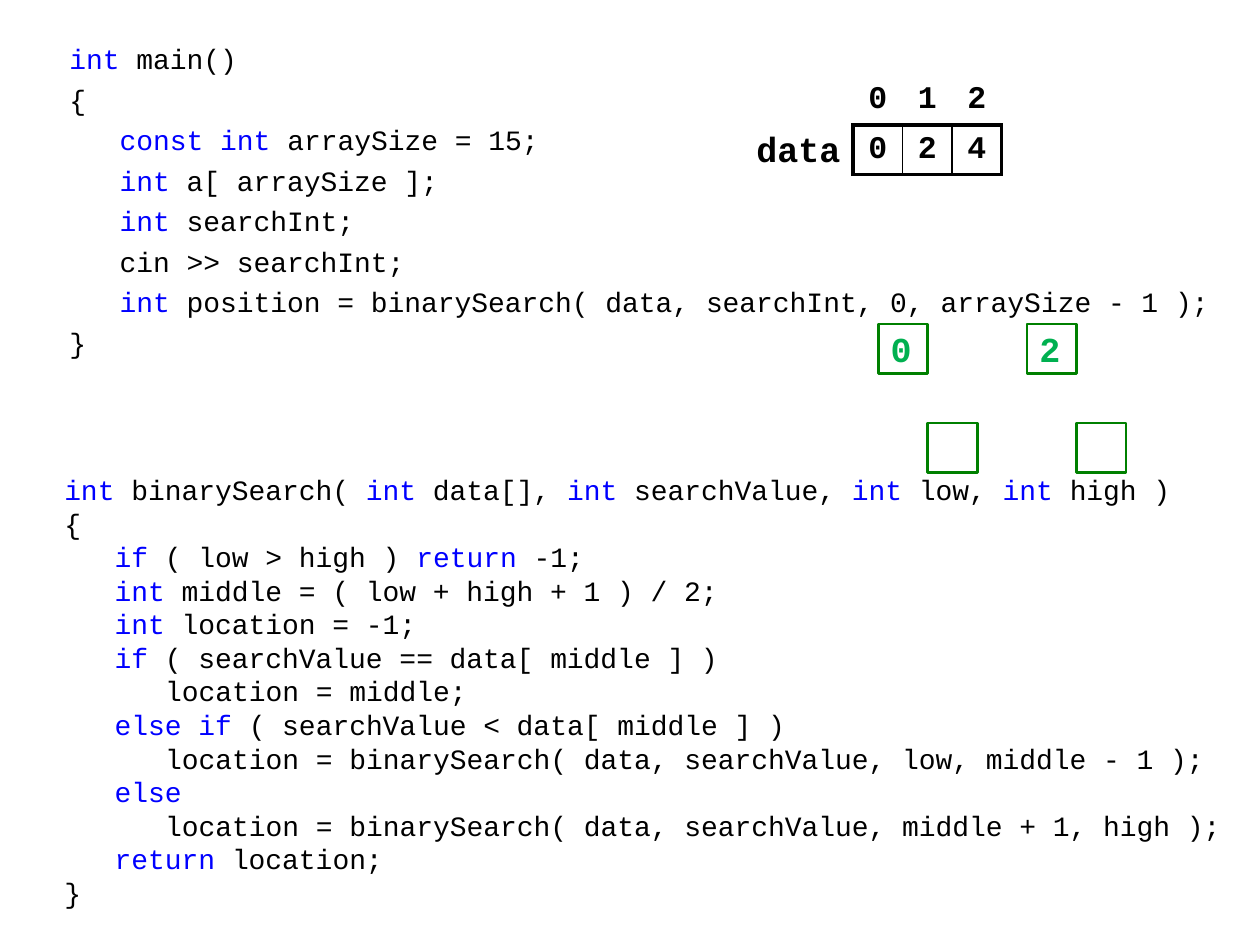
from itertools import groupby
from lxml.etree import SubElement
from pptx import Presentation
from pptx.dml.color import RGBColor
from pptx.enum.shapes import MSO_SHAPE
from pptx.enum.text import MSO_ANCHOR, PP_ALIGN
from pptx.oxml.ns import qn
from pptx.util import Inches, Pt


class Theme:
    font = "Courier New"
    ink, key, edge, value = (
        RGBColor.from_string(c) for c in ("000000", "0000FF", "008000", "00B050"))
    code, cell, label = Pt(16), Pt(18), Pt(20)
    thick, thin, frame = Pt(2.25), Pt(1), Pt(1.5)


UNIT = 1.18 / 3  # side of one array cell
STEP = 0.4       # one level of code indent
WORDS = {"int", "const", "if", "else", "return"}

# Each line of code: indent level, text
MAIN = [
    (0, "int main()"),
    (0, "{"),
    (1, "const int arraySize = 15;"),
    (1, "int a[ arraySize ];"),
    (1, "int searchInt;"),
    (1, "cin >> searchInt;"),
    (1, "int position = binarySearch( data, searchInt, 0, arraySize - 1 );"),
    (0, "}"),
]
SEARCH = [
    (0, "int binarySearch( int data[], int searchValue, int low, int high )"),
    (0, "{"),
    (1, "if ( low > high ) return -1;"),
    (1, "int middle = ( low + high + 1 ) / 2;"),
    (1, "int location = -1;"),
    (1, "if ( searchValue == data[ middle ] )"),
    (2, "location = middle;"),
    (1, "else if ( searchValue < data[ middle ] )"),
    (2, "location = binarySearch( data, searchValue, low, middle - 1 );"),
    (1, "else"),
    (2, "location = binarySearch( data, searchValue, middle + 1, high );"),
    (1, "return location;"),
    (0, "}"),
]


def put(item, values):
    for name, value in values.items():
        setattr(item, name, value)


def pad(item, left, top, right, base):
    names = ("margin_left", "margin_top", "margin_right", "margin_bottom")
    put(item, dict(zip(names, map(Inches, (left, top, right, base)))))


def write(para, text, size, color, bold=False):
    run = para.add_run()
    run.text = text
    put(run.font, {"name": Theme.font, "size": size, "bold": bold})
    run.font.color.rgb = color


def code(slide, box, lines, inset, after):
    """Code block with coloured keywords."""
    frame = slide.shapes.add_textbox(*map(Inches, box)).text_frame
    frame.word_wrap = True
    pad(frame, *inset)
    for num, (level, line) in enumerate(lines):
        para = frame.add_paragraph() if num else frame.paragraphs[0]
        para.space_after = Pt(after)
        props = para._p.get_or_add_pPr()
        props.set("marL", str(Inches(level * STEP)))
        props.set("indent", "0")
        parts = [word + " " for word in line.split(" ")]
        parts[-1] = parts[-1].rstrip()
        for key, group in groupby(parts, lambda part: part.strip() in WORDS):
            write(para, "".join(group), Theme.code, Theme.key if key else Theme.ink)


def square(slide, left, top, text=""):
    """Green box for one argument value."""
    box = slide.shapes.add_shape(
        MSO_SHAPE.RECTANGLE, *map(Inches, (left, top, UNIT, UNIT)))
    box.shadow.inherit = False
    box.fill.background()
    box.line.color.rgb = Theme.edge
    box.line.width = Theme.frame
    frame = box.text_frame
    put(frame, {"word_wrap": False, "vertical_anchor": MSO_ANCHOR.MIDDLE})
    pad(frame, 0.1, 0.04, 0.1, 0.04)
    if text:
        frame.paragraphs[0].alignment = PP_ALIGN.LEFT
        write(frame.paragraphs[0], text, Theme.label, Theme.value, True)


def border(cell, sides):
    props = cell._tc.get_or_add_tcPr()
    for spot, (side, width) in enumerate(sides.items()):
        line = props.makeelement(qn("a:ln" + side), {"w": str(width)})
        fill = SubElement(line, qn("a:solidFill" if width else "a:noFill"))
        if width:
            SubElement(fill, qn("a:srgbClr"), val=str(Theme.ink))
        props.insert(spot, line)


def array(slide, left, top, name, values):
    """Array with its name on the left and index numbers above."""
    count = len(values)
    size = (left, top, count * UNIT, 2 * UNIT)
    table = slide.shapes.add_table(2, count, *map(Inches, size)).table
    put(table, {"first_row": False, "horz_banding": False})
    for col in table.columns:
        col.width = Inches(UNIT)
    for row, texts in enumerate((range(count), values)):
        table.rows[row].height = Inches(UNIT)
        for col, text in enumerate(texts):
            cell = table.cell(row, col)
            cell.fill.background()
            pad(cell, 0.08, 0, 0.08, 0)
            para = cell.text_frame.paragraphs[0]
            put(para, {"alignment": PP_ALIGN.CENTER, "line_spacing": 1.2,
                       "space_before": Pt(3.6)})
            write(para, str(text), Theme.cell, Theme.ink, True)
            border(cell, {
                "L": row * (Theme.thin if col else Theme.thick),
                "R": row * (Theme.thin if col < count - 1 else Theme.thick),
                "T": row * Theme.thick,
                "B": Theme.thick,
            })
    wide = 2.5 * UNIT
    label = slide.shapes.add_textbox(
        *map(Inches, (left - wide, top + UNIT, wide, UNIT)))
    frame = label.text_frame
    frame.word_wrap = False
    pad(frame, 0.1, 0.02, 0.1, 0.02)
    frame.paragraphs[0].alignment = PP_ALIGN.RIGHT
    write(frame.paragraphs[0], name, Theme.label, Theme.ink, True)


def build():
    deck = Presentation()
    put(deck, {"slide_width": Inches(10), "slide_height": Inches(7.5)})
    slide = deck.slides.add_slide(deck.slide_layouts[6])

    # Code of both functions
    code(slide, (0.27, 3.75, 9.65, 3.54), SEARCH, (0.24, 0, 0.1, 0.05), 0)
    code(slide, (0.27, 0.21, 9.45, 2.76), MAIN, (0.28, 0.12, 0.1, 0.05), 4)

    # Arguments at the call, empty parameters below
    for left, text in ((6.97, "0"), (8.15, "2")):
        square(slide, left, 2.57, text)
        square(slide, left + UNIT, 2.57 + 2 * UNIT)

    # Array being searched
    array(slide, 6.77, 0.6, "data", (0, 2, 4))
    deck.save("out.pptx")


build()
